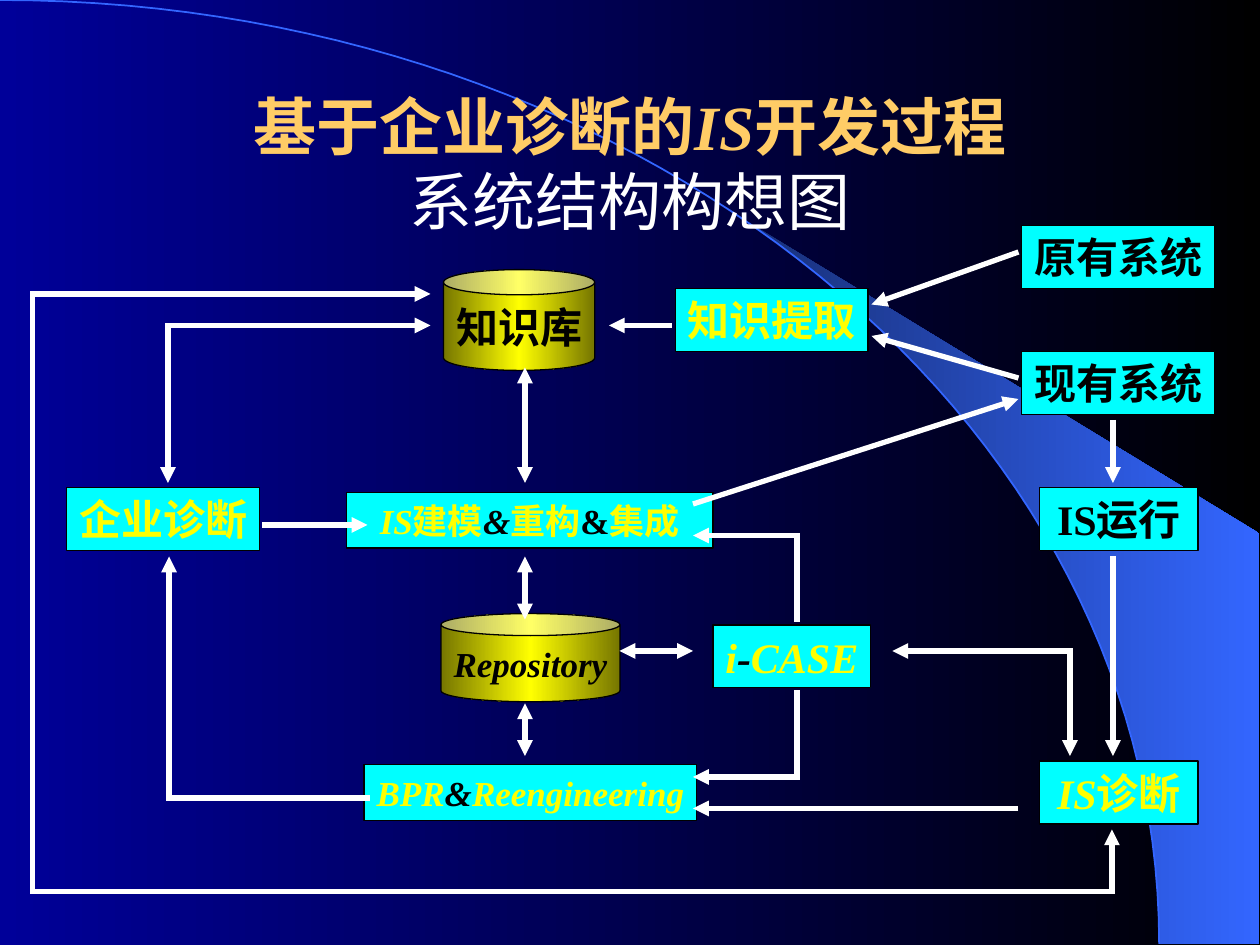
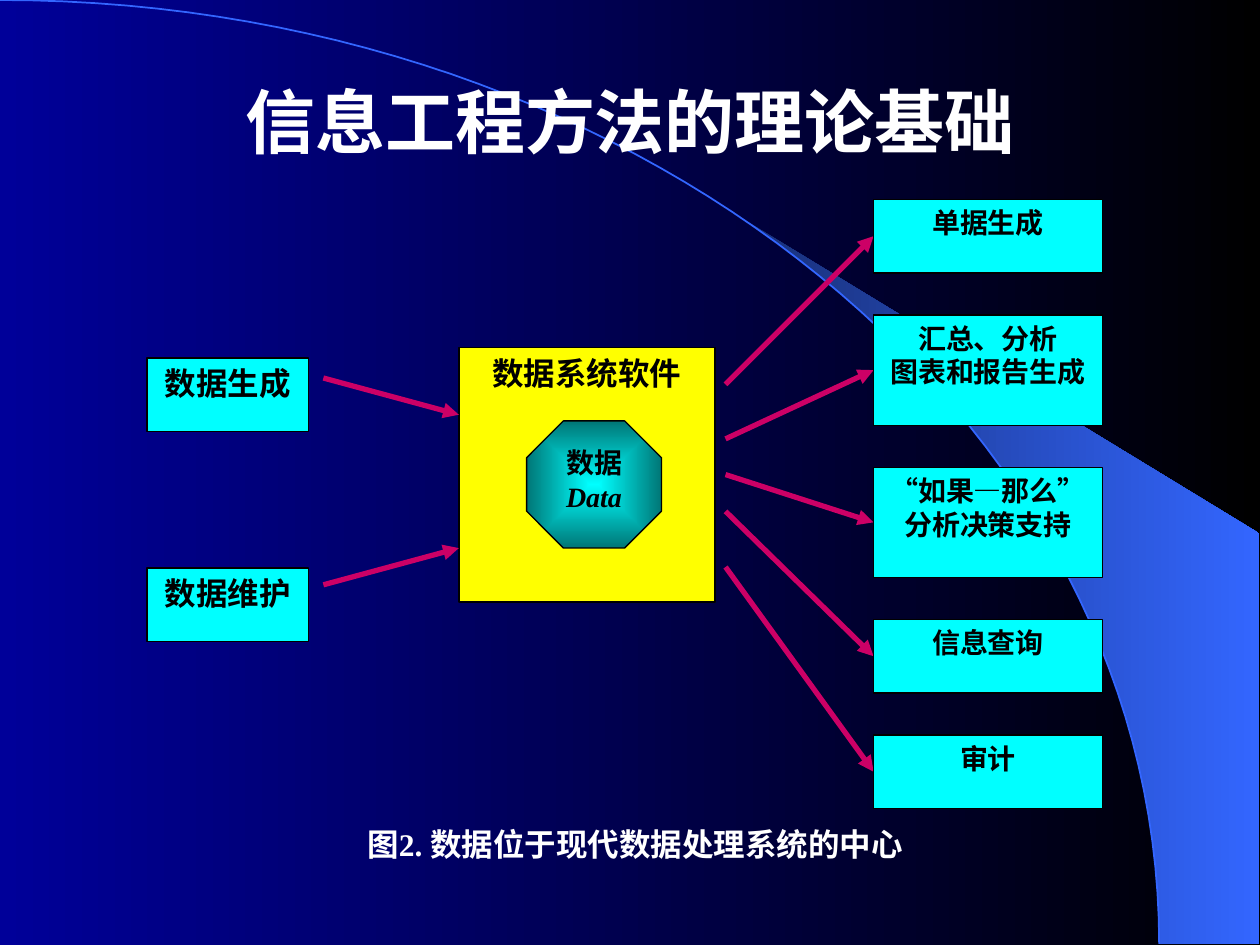
import pptx
import pptx.util
import pptx.dml.color
import pptx.enum.shapes
import pptx.enum.text
import pptx.oxml
import pptx.oxml.ns

UNIT = 76200
WIDE, HIGH = 120, 90
HUE = {
    "navy": "000099", "black": "000000", "white": "FFFFFF", "gold": "FFCC66",
    "cyan": "00FFFF", "teal": "007676", "yellow": "FFFF00", "olive": "767600",
    "blue": "3366FF", "dusk": "182F76", "pink": "CC0066",
}
SERIF = "Times New Roman"

ARC = [(0, 0), (61, 0), (110.4, 40.2), (110.4, 89.9)]
EDGE = [(119.9, 89.9), (119.9, 50.8)]
SPLIT = 0.44

HEAD1 = [[("基于企业诊断的", "gold", "b", "Arial"), ("IS", "gold", "bi", SERIF),
          ("开发过程", "gold", "b", "Arial"), ("\n",),
          ("系统结构构想图", "white", "", "Arial")]]
HEAD2 = [[("信息工程方法的理论基础", "white", "b", "Cabin")]]

STEPS = [
    ((6.36, 46.44, 18.36, 6), 24, [("企业诊断", "yellow")]),
    ((33, 46.92, 34.92, 5.28), 20, [
        ("IS", "yellow", "bi"), ("建模", "yellow"), ("&", "black", "bi"),
        ("重构", "yellow"), ("&", "black"), ("集成", "yellow")]),
    ((34.68, 72.84, 31.68, 5.28), 20, [
        ("BPR", "yellow", "bi"), ("&", "black", "bi"), ("Reengineering", "yellow", "bi")]),
    ((99, 46.44, 15.12, 6), 24, [("IS运行", "black")]),
    ((67.92, 59.52, 15, 6), 24, [
        ("i", "yellow", "bi"), ("-", "black", "bi"), ("CASE", "yellow", "bi")]),
    ((64.32, 27.48, 18.36, 6), 24, [("知识提取", "yellow")]),
    ((97.32, 21.48, 18.36, 6), 24, [("原有系统", "black")]),
    ((97.32, 33.48, 18.36, 6), 24, [("现有系统", "black")]),
    ((99, 72.48, 15.12, 6), 24, [("IS", "yellow", "bi"), ("诊断", "yellow")]),
]
STORES = [
    ((42, 58.44, 17.04, 8.4), 20, [("Repository", "black", "bi")]),
    ((42.24, 25.68, 14.4, 9.6), 24, [("知识库", "black")]),
]
FLOWS = [
    (">", (25, 50), (35, 50)),
    (">", (97, 24), (83, 29)),
    (">", (97, 36), (83, 32)),
    (">", (64, 31), (58, 31)),
    ("<>", (50, 53), (50, 59)),
    ("<>", (50, 67), (50, 72)),
    ("<>", (59, 62), (66, 62)),
    (">", (75.9, 59), (75.9, 51), (66, 51)),
    (">", (75.9, 66), (75.9, 74), (66, 74)),
    (">", (66, 48), (97, 38)),
    (">", (106, 53), (106, 72)),
    ("<>", (85, 62), (101.9, 62), (101.9, 72)),
    (">", (97, 77), (66, 77)),
    (">", (35, 76), (16.1, 76), (16.1, 53)),
    ("<>", (50, 35), (50, 46)),
    ("<>", (16, 46), (16, 31), (41, 31)),
    (">", (106, 40), (106, 46)),
    ("<>", (105.9, 79), (105.9, 84.9), (3.1, 84.9), (3.1, 28), (41, 28)),
]

INPUTS = [("数据生成", 34.1, (36, 39.5)), ("数据维护", 54.1, (55.7, 52.2))]
SYSTEM = (43.7, 33.1, 24.4, 24.24)
CORE = (50.16, 40.08, 12.84, 12.12)
OUTPUTS = [
    (["单据生成"], 36.6),
    (["汇总、分析", "图表和报告生成"], 41.8),
    (["“如果—那么”", "分析决策支持"], 45.2),
    (["信息查询"], 48.7),
    (["审计"], 54),
]
OUT_X, OUT_Y, OUT_W, GAP = 83.2, 19, 21.8, 4
CAPTION = "图2. 数据位于现代数据处理系统的中心"

KIND = pptx.enum.shapes.MSO_SHAPE
ANCHOR = pptx.enum.text.MSO_ANCHOR


def emu(*nums):
    return [pptx.util.Emu(round(n * UNIT)) for n in nums]


def rgb(name):
    return pptx.dml.color.RGBColor.from_string(HUE[name])


def tag(parent, name, **attrs):
    node = parent.makeelement(pptx.oxml.ns.qn(name), attrs)
    parent.append(node)
    return node


def blend(fill, root, names, radial=False):
    fill.gradient()
    fill.gradient_angle = 0
    node = root.find(".//" + pptx.oxml.ns.qn("a:gradFill"))
    stops = node.find(pptx.oxml.ns.qn("a:gsLst"))
    for old in list(stops):
        stops.remove(old)
    for i, name in enumerate(names):
        stop = tag(stops, "a:gs", pos=str(100000 * i // (len(names) - 1)))
        tag(stop, "a:srgbClr", val=HUE[name])
    if radial:
        node.remove(node.find(pptx.oxml.ns.qn("a:lin")))
        way = tag(node, "a:path", path="rect")
        tag(way, "a:fillToRect", l="50000", t="50000", r="50000", b="50000")


def write(shape, size, paras, anchor=ANCHOR.MIDDLE, wrap=True):
    frame = shape.text_frame
    frame.word_wrap = wrap
    frame.vertical_anchor = anchor
    for i, runs in enumerate(paras):
        para = frame.add_paragraph() if i else frame.paragraphs[0]
        para.alignment = pptx.enum.text.PP_ALIGN.CENTER
        for text, *look in runs:
            if text == "\n":
                para.add_line_break()
                continue
            name, style, face = look + ["black", "b", SERIF][len(look):]
            run = para.add_run()
            run.text = text
            run.font.name = face
            run.font.size = pptx.util.Pt(size)
            run.font.bold = "b" in style
            run.font.italic = "i" in style
            run.font.color.rgb = rgb(name)


def label(slide, area, size, paras, anchor=ANCHOR.MIDDLE):
    write(slide.shapes.add_textbox(*emu(*area)), size, paras, anchor)


def block(slide, area, size, paras, kind=KIND.RECTANGLE, hues=("cyan",),
          radial=False, **layout):
    shape = slide.shapes.add_shape(kind, *emu(*area))
    shape.shadow.inherit = False
    if len(hues) > 1:
        blend(shape.fill, shape.element, hues, radial)
    else:
        shape.fill.solid()
        shape.fill.fore_color.rgb = rgb(hues[0])
    shape.line.color.rgb = rgb("black")
    shape.line.width = pptx.util.Pt(0.75)
    write(shape, size, paras, **layout)
    return shape


def arrow(slide, ends, points, name):
    last = len(points) - 2
    for i, (start, stop) in enumerate(zip(points, points[1:])):
        line = slide.shapes.add_connector(
            pptx.enum.shapes.MSO_CONNECTOR.STRAIGHT, *emu(*start, *stop))
        line.line.color.rgb = rgb(name)
        line.line.width = pptx.util.Pt(3)
        pen = line.line._get_or_add_ln()
        if last:
            pen.set("cap", "sq")
        if i == 0 and "<" in ends:
            tag(pen, "a:headEnd", type="triangle")
        if i == last and ">" in ends:
            tag(pen, "a:tailEnd", type="triangle")
        tag(line.element.spPr, "a:effectLst")
    return line


def curve(t):
    share = ((1 - t) ** 3, 3 * t * (1 - t) ** 2, 3 * t * t * (1 - t), t ** 3)
    return tuple(sum(s * p[axis] for s, p in zip(share, ARC)) for axis in (0, 1))


def outline(slide, points, close):
    first, *rest = [emu(*p) for p in points]
    pen = slide.shapes.build_freeform(*first, scale=1.0)
    pen.add_line_segments(rest, close=close)
    shape = pen.convert_to_shape()
    shape.shadow.inherit = False
    return shape


def base(deck, title, top, size):
    slide = deck.slides.add_slide(deck.slide_layouts[6])
    blend(slide.background.fill, slide.element, ["navy", "black"])
    tail = [curve(SPLIT + (1 - SPLIT) * i / 30) for i in range(31)]
    wedge = outline(slide, tail + EDGE, True)
    blend(wedge.fill, wedge.element, ["dusk", "blue"])
    wedge.line.fill.background()
    arc = outline(slide, [curve(i / 60) for i in range(61)], False)
    arc.fill.background()
    arc.line.color.rgb = rgb("blue")
    arc.line.width = pptx.util.Pt(1)
    label(slide, (9, top, 102, 15), size, title)
    return slide


def process(deck):
    slide = base(deck, HEAD1, 8, 36)
    for area, size, runs in STEPS:
        block(slide, area, size, [runs], wrap=False)
    for area, size, runs in STORES:
        block(slide, area, size, [runs], KIND.CAN, ("olive", "yellow", "olive"),
              wrap=False)
    for ends, *points in FLOWS:
        arrow(slide, ends, points, "white")


def theory(deck):
    slide = base(deck, HEAD2, 4, 40)
    top = {"anchor": ANCHOR.TOP}
    block(slide, SYSTEM, 18, [[("数据系统软件",)]], hues=("yellow",), **top)
    core = block(slide, CORE, 16, [[("数据",)], [("Data", "black", "bi")]],
                 KIND.OCTAGON, ("cyan", "teal"), True, **top)
    core.adjustments[0] = 0.29
    for text, y, (start, stop) in INPUTS:
        block(slide, (14, y, 15.4, 7), 18, [[(text,)]], **top)
        arrow(slide, ">", [(30.8, start), (SYSTEM[0], stop)], "pink")
    y = OUT_Y
    for lines, start in OUTPUTS:
        tall = 3.5 * (len(lines) + 1)
        line = arrow(slide, ">", [(69.1, start), (OUT_X, y + tall / 2)], "pink")
        box = block(slide, (OUT_X, y, OUT_W, tall), 16,
                    [[(text,)] for text in lines], **top)
        line.end_connect(box, 1)
        y += tall + GAP
    label(slide, (8, 78, 105, 4.8), 18, [[(CAPTION, "white")]], ANCHOR.TOP)


def main():
    deck = pptx.Presentation()
    deck.slide_width, deck.slide_height = emu(WIDE, HIGH)
    process(deck)
    theory(deck)
    deck.save("out.pptx")


if __name__ == "__main__":
    main()
